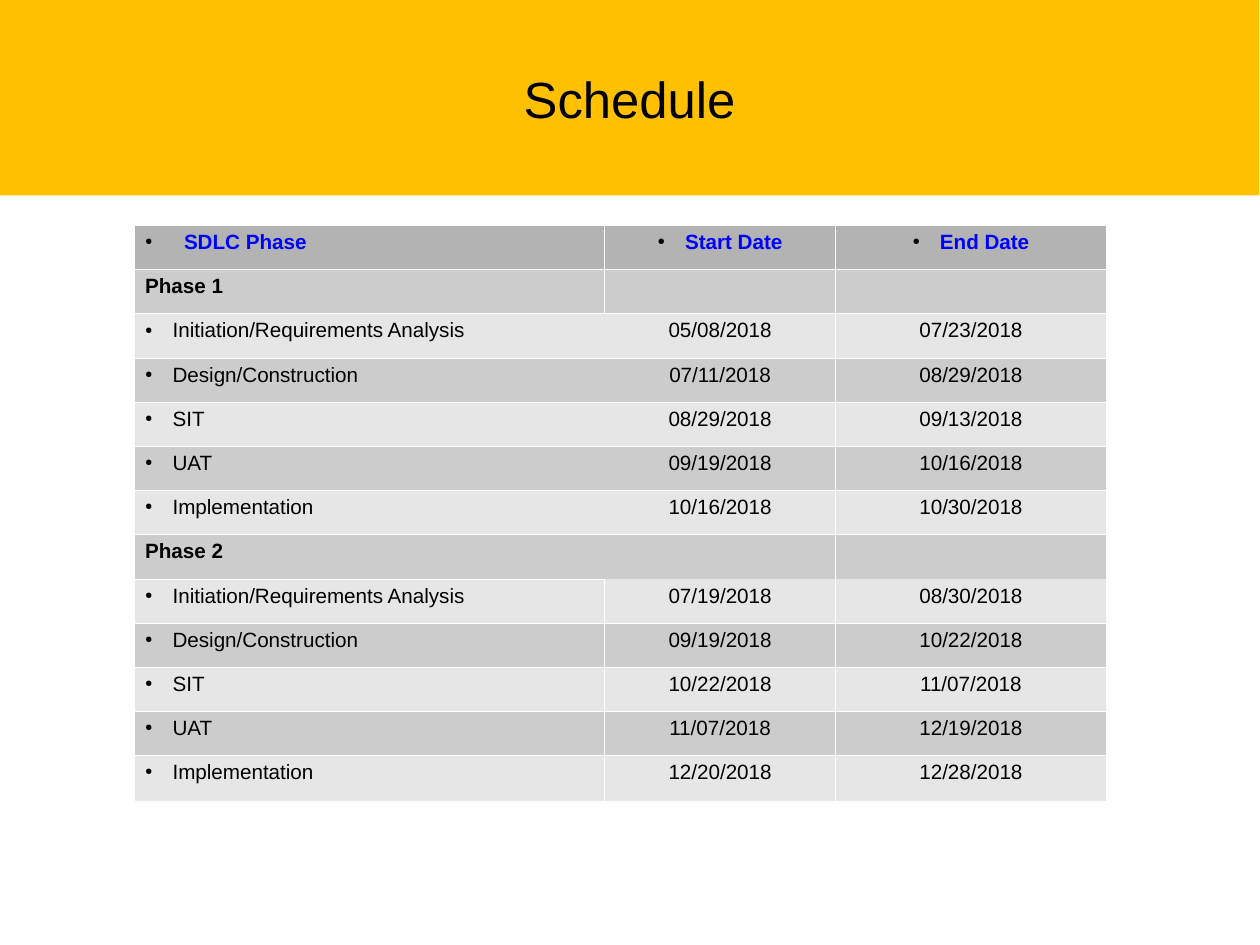
from lxml.etree import SubElement
from pptx import Presentation
from pptx.dml.color import RGBColor
from pptx.enum.text import MSO_ANCHOR, MSO_AUTO_SIZE, PP_ALIGN
from pptx.oxml import parse_xml
from pptx.oxml.ns import nsdecls, qn
from pptx.util import Inches, Pt

# Content
TITLE = "Schedule"
HEADER = ("SDLC Phase", "Start Date", "End Date")
STEPS = ("Initiation/Requirements Analysis", "Design/Construction", "SIT", "UAT", "Implementation")
PHASES = {
    "Phase 1": [
        ("05/08/2018", "07/23/2018"),
        ("07/11/2018", "08/29/2018"),
        ("08/29/2018", "09/13/2018"),
        ("09/19/2018", "10/16/2018"),
        ("10/16/2018", "10/30/2018"),
    ],
    "Phase 2": [
        ("07/19/2018", "08/30/2018"),
        ("09/19/2018", "10/22/2018"),
        ("10/22/2018", "11/07/2018"),
        ("11/07/2018", "12/19/2018"),
        ("12/20/2018", "12/28/2018"),
    ],
}
rows = [HEADER]
for phase, dates in PHASES.items():
    rows.append((phase, "", ""))
    rows += [(step, *pair) for step, pair in zip(STEPS, dates)]

# Layout and colours
PAGE_WIDTH, PAGE_HEIGHT = Pt(793.75), Pt(595.25)
COLUMN_WIDTHS = (4.12, 2.02, 2.37)
TABLE_HEIGHT, LAST_ROW_HEIGHT = 5.04, 0.4
HEADER_FILL, DARK_BAND, LIGHT_BAND = "B3B3B3", "CCCCCC", "E6E6E6"
BLACK, BLUE, WHITE, AMBER = "000000", "0000FF", "FFFFFF", "FFC000"
BORDER_WIDTH = Pt(0.06)
PHASE_2_ROW = 7


def color(value):
    return RGBColor.from_string(value)


def write(para, text, size, fill, bold=False):
    span = para.add_run()
    span.text = text
    for name, value in dict(name="Arial", size=Pt(size), bold=bold).items():
        setattr(span.font, name, value)
    span.font.color.rgb = color(fill)


def add_bullet(para, indent):
    props = para._p.get_or_add_pPr()
    props.set("marL", str(Inches(indent)))
    props.set("indent", str(-Inches(indent)))
    SubElement(SubElement(props, qn("a:buClr")), qn("a:srgbClr"), val=BLACK)
    SubElement(props, qn("a:buSzPct"), val="45000")
    SubElement(props, qn("a:buChar"), char="●")


def hidden_sides(row, column):
    """Sides where neighbouring cells run together."""
    sides = set()
    if 2 <= row <= PHASE_2_ROW and column < 2:
        sides.add("R" if column == 0 else "L")
    if column > 0 and row in (PHASE_2_ROW, PHASE_2_ROW + 1):
        sides.add("B" if row == PHASE_2_ROW else "T")
    return sides


def set_borders(cell, hidden):
    props = cell._tc.get_or_add_tcPr()
    for position, side in enumerate("LRTB"):
        paint = "<a:noFill/>" if side in hidden else (
            f'<a:solidFill><a:srgbClr val="{WHITE}"/></a:solidFill>')
        line = f'<a:ln{side} {nsdecls("a")} w="{BORDER_WIDTH}">{paint}</a:ln{side}>'
        props.insert(position, parse_xml(line))


def fill_cell(cell, row, column, text):
    is_header, is_phase = row == 0, text in PHASES
    cell.fill.solid()
    band = LIGHT_BAND if rows[row][0] in STEPS and STEPS.index(rows[row][0]) % 2 == 0 else DARK_BAND
    cell.fill.fore_color.rgb = color(HEADER_FILL if is_header else band)
    set_borders(cell, hidden_sides(row, column))
    para = cell.text_frame.paragraphs[0]
    if not text:
        SubElement(para._p, qn("a:endParaRPr"), sz="1300")
        return
    para.alignment = PP_ALIGN.CENTER if column else PP_ALIGN.LEFT
    if is_header or text in STEPS:
        add_bullet(para, 0.34 if is_header and column == 0 else 0.24)
    write(para, text, 13, BLUE if is_header else BLACK, is_header or is_phase)


def main():
    deck = Presentation()
    deck.slide_width, deck.slide_height = PAGE_WIDTH, PAGE_HEIGHT
    page = deck.slides.add_slide(deck.slide_layouts[5])

    # Title band
    title = page.shapes.title
    band = dict(left=0, top=0, width=Inches(11.02), height=Inches(1.71))
    for name, value in band.items():
        setattr(title, name, value)
    title.fill.solid()
    title.fill.fore_color.rgb = color(AMBER)
    frame_format = dict(margin_left=0, margin_top=0, margin_right=0, margin_bottom=0,
                        vertical_anchor=MSO_ANCHOR.MIDDLE, auto_size=MSO_AUTO_SIZE.NONE)
    for name, value in frame_format.items():
        setattr(title.text_frame, name, value)
    para = title.text_frame.paragraphs[0]
    para.alignment = PP_ALIGN.CENTER
    write(para, TITLE, 32, BLACK)

    # Schedule table
    table = page.shapes.add_table(
        len(rows), len(HEADER), Inches(1.17), Inches(1.97),
        Inches(sum(COLUMN_WIDTHS)), Inches(TABLE_HEIGHT)).table
    table.first_row = table.horz_banding = False
    for column, width in zip(table.columns, COLUMN_WIDTHS):
        column.width = Inches(width)
    row_height = (TABLE_HEIGHT - LAST_ROW_HEIGHT) / (len(rows) - 1)
    for row, texts in enumerate(rows):
        is_last = row == len(rows) - 1
        table.rows[row].height = Inches(LAST_ROW_HEIGHT if is_last else row_height)
        for column, text in enumerate(texts):
            fill_cell(table.cell(row, column), row, column, text)

    deck.save("out.pptx")


if __name__ == "__main__":
    main()
